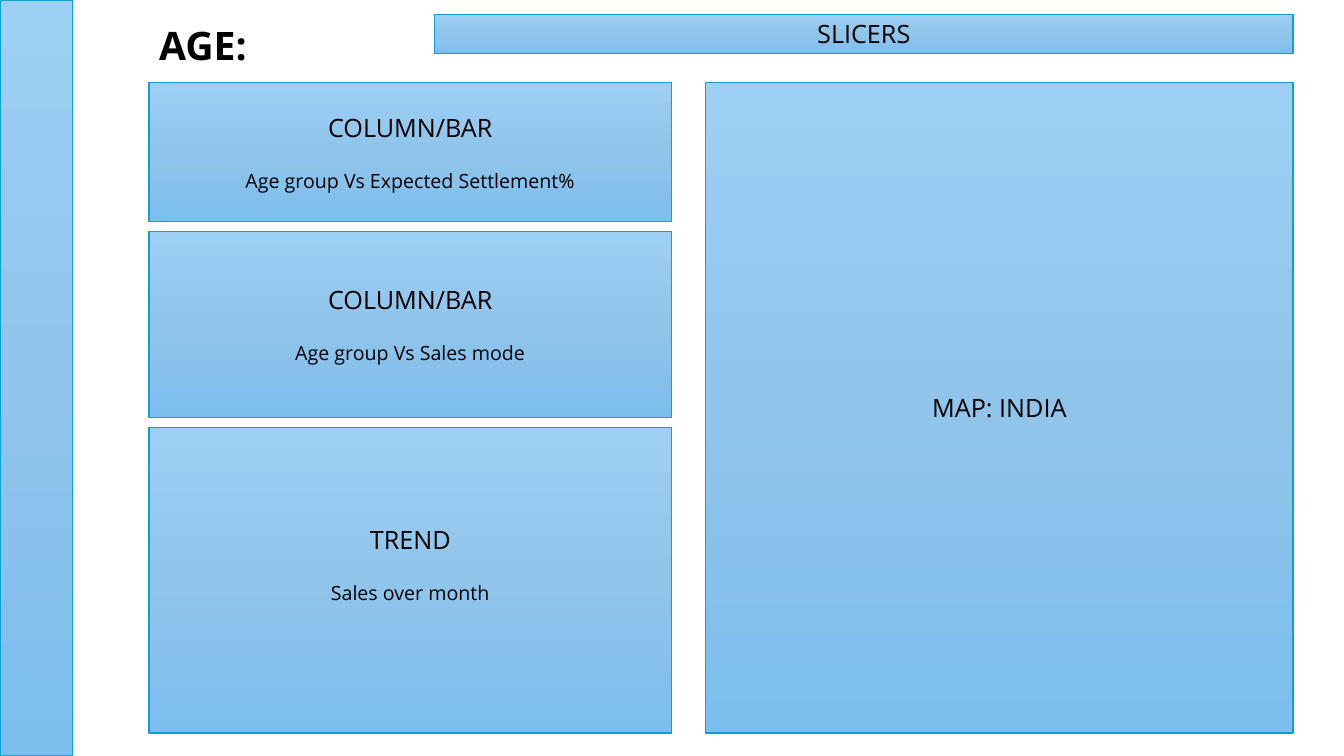
from copy import deepcopy
from dataclasses import dataclass

from pptx import Presentation
from pptx.dml.color import RGBColor
from pptx.enum.shapes import MSO_SHAPE
from pptx.enum.text import MSO_ANCHOR, MSO_AUTO_SIZE, PP_ALIGN
from pptx.oxml.ns import qn
from pptx.shapes.autoshape import Shape
from pptx.slide import Slide
from pptx.text.text import _Paragraph as Paragraph
from pptx.util import Cm, Pt

FONT = "Open Sans"
BLACK = "000000"
BORDER = "0F9ED5"
GRADIENT = ((0, "9ECFF5"), (0.5, "90C4EB"), (1, "7CBEED"))

SLIDE_W, SLIDE_H = 33.87, 19.05
LEFT, LEFT_W = 3.76, 13.16
MAP_LEFT = 17.78
RIGHT_EDGE = 32.59
TOP, BOTTOM = 2.08, 18.47
GAP = 0.24
SLICERS_LEFT = 10.95


@dataclass
class Panel:
    """A dashboard area; lengths in centimetres."""
    left: float
    top: float
    width: float
    height: float
    title: str = ""
    detail: str = ""
    bottom_inset: float = 0.13


@dataclass
class ChartArea:
    height: float
    title: str
    detail: str
    bottom_inset: float = 0.13


CHART_AREAS = (
    ChartArea(3.51, "COLUMN/BAR", "Age group Vs Expected Settlement%"),
    ChartArea(4.7, "COLUMN/BAR", "Age group Vs Sales mode"),
    ChartArea(7.7, "TREND", "Sales over month", bottom_inset=0.94),
)


def rgb(value: str) -> RGBColor:
    return RGBColor.from_string(value)


def add_run(p: Paragraph, text: str, size: int, bold: bool = False) -> None:
    r = p.add_run()
    r.text = text
    r.font.name = FONT
    r.font.size = Pt(size)
    r.font.bold = bold
    r.font.color.rgb = rgb(BLACK)


def fill_gradient(sp: Shape) -> None:
    sp.fill.gradient()
    sp.fill.gradient_angle = 270
    stops = sp._element.spPr.find(qn("a:gradFill")).find(qn("a:gsLst"))
    stops.insert(1, deepcopy(stops[0]))
    for stop, (position, color) in zip(sp.fill.gradient_stops, GRADIENT):
        stop.position = position
        stop.color.rgb = rgb(color)


def add_panel(slide: Slide, panel: Panel) -> None:
    sp = slide.shapes.add_shape(MSO_SHAPE.RECTANGLE, Cm(panel.left), Cm(panel.top),
                                Cm(panel.width), Cm(panel.height))
    sp.shadow.inherit = False
    fill_gradient(sp)
    sp.line.color.rgb = rgb(BORDER)
    sp.line.width = Pt(1)

    tf = sp.text_frame
    tf.word_wrap = True
    tf.vertical_anchor = MSO_ANCHOR.MIDDLE
    tf.margin_bottom = Cm(panel.bottom_inset)
    if panel.title:
        p = tf.paragraphs[0]
        p.alignment = PP_ALIGN.CENTER
        add_run(p, panel.title, 18)
    if panel.detail:
        p = tf.add_paragraph()
        p.alignment = PP_ALIGN.CENTER
        p.space_before = Pt(19)
        add_run(p, panel.detail, 14)


def add_heading(slide: Slide, text: str) -> None:
    box = slide.shapes.add_textbox(Cm(LEFT), Cm(0.41), Cm(8.08), Cm(1.45))
    tf = box.text_frame
    tf.word_wrap = True
    tf.auto_size = MSO_AUTO_SIZE.SHAPE_TO_FIT_TEXT
    add_run(tf.paragraphs[0], text, 28, bold=True)


def stack_charts() -> list[Panel]:
    """Place the chart areas below each other in the left column."""
    panels, top = [], TOP
    for area in CHART_AREAS:
        panels.append(Panel(LEFT, top, LEFT_W, area.height, area.title,
                            area.detail, area.bottom_inset))
        top += area.height + GAP
    return panels


def main() -> None:
    prs = Presentation()
    prs.slide_width, prs.slide_height = Cm(SLIDE_W), Cm(SLIDE_H)
    slide = prs.slides.add_slide(prs.slide_layouts[6])

    sidebar = Panel(0, 0, 1.83, SLIDE_H)
    slicers = Panel(SLICERS_LEFT, 0.36, RIGHT_EDGE - SLICERS_LEFT, 0.99, "SLICERS")
    india_map = Panel(MAP_LEFT, TOP, RIGHT_EDGE - MAP_LEFT, BOTTOM - TOP, "MAP: INDIA")
    add_heading(slide, "AGE:")
    for panel in (sidebar, slicers, *stack_charts(), india_map):
        add_panel(slide, panel)

    prs.save("out.pptx")


if __name__ == "__main__":
    main()
